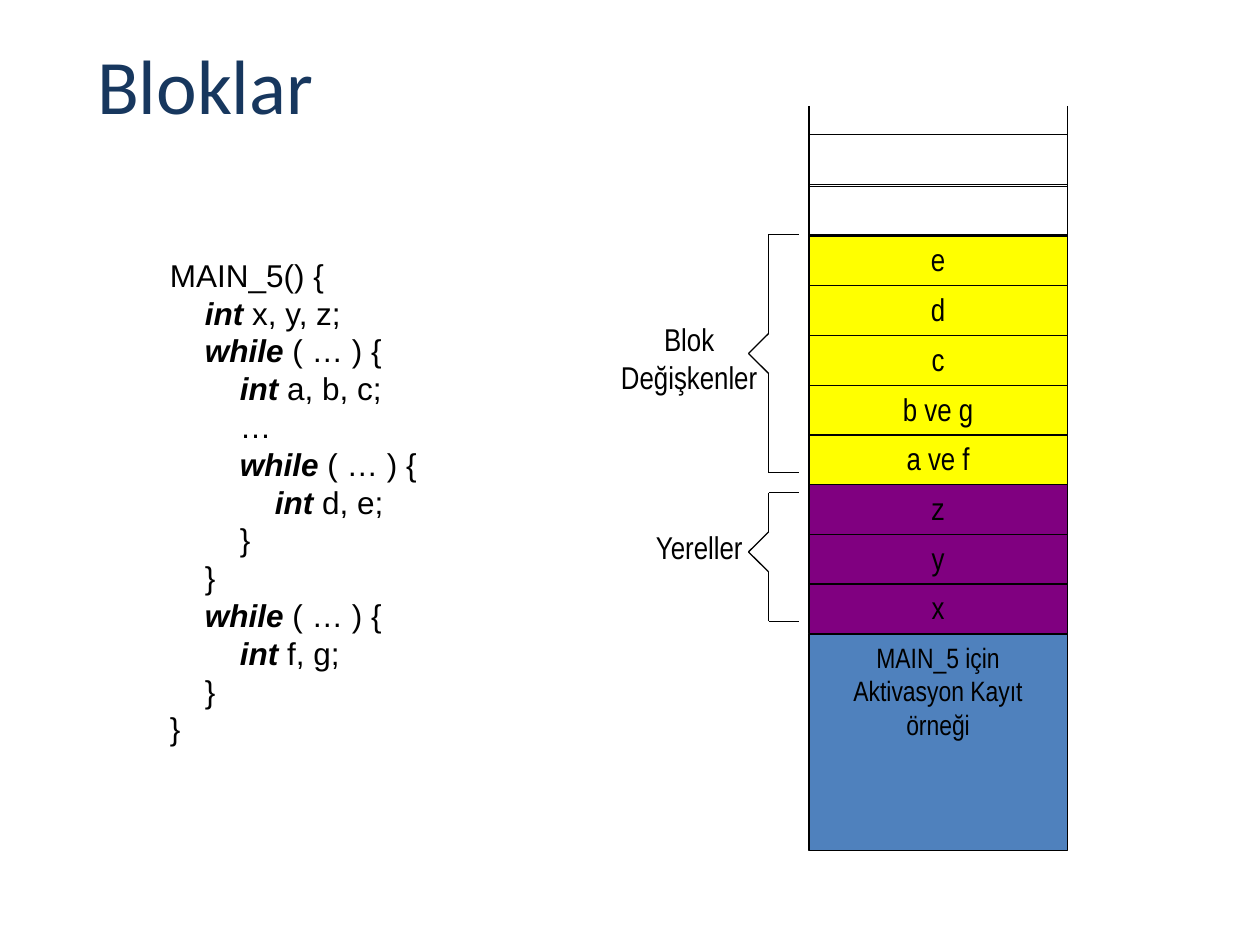
from lxml.etree import SubElement
from pptx import Presentation
from pptx.dml.color import RGBColor
from pptx.enum.shapes import MSO_CONNECTOR, MSO_SHAPE
from pptx.enum.text import MSO_ANCHOR, PP_ALIGN
from pptx.oxml.ns import qn
from pptx.util import Pt

BLACK, NAVY = "000000", "17375E"
YELLOW, PURPLE, BLUE = "FFFF00", "800080", "4F81BD"
KEYWORDS = ("int", "while")

CODE = """MAIN_5() {
    int x, y, z;
    while ( … ) {
        int a, b, c;
        …
        while ( … ) {
            int d, e;
        }
    }
    while ( … ) {
        int f, g;
    }
}"""

STACK_LEFT, STACK_TOP, STACK_WIDTH = 462.24, 77.04, 147.6
CELL_HEIGHT, CELL_STEP = 29.5, 28.4
CELLS = [("", None), ("", None)]
CELLS += [(name, YELLOW) for name in ("e", "d", "c", "b ve g", "a ve f")]
CELLS += [(name, PURPLE) for name in ("z", "y", "x")]


def color(value):
    return RGBColor.from_string(value)


class BlockSlide:
    label_format = {"name": "Arial Narrow", "size": Pt(18)}
    record_format = {"name": "Arial Narrow", "size": Pt(16)}
    code_format = {"name": "Arial", "size": Pt(18)}
    title_format = {"name": "Calibri", "size": Pt(44)}
    keyword_format = {"bold": True, "italic": True}
    line_width = Pt(0.75)

    def __init__(self, deck):
        self.slide = deck.slides.add_slide(deck.slide_layouts[5])

    def style(self, font, values, ink=BLACK):
        for key, value in values.items():
            setattr(font, key, value)
        font.color.rgb = color(ink)

    def outline(self, line):
        line.color.rgb = color(BLACK)
        line.width = self.line_width

    def fill_text(self, frame, text, values, align=PP_ALIGN.CENTER, ink=BLACK):
        frame.vertical_anchor = MSO_ANCHOR.TOP
        frame.text = text
        for paragraph in frame.paragraphs:
            paragraph.alignment = align
            for run in paragraph.runs:
                self.style(run.font, values, ink)

    def title(self, text, left, top, width, height):
        heading = self.slide.shapes.title
        bounds = {"left": left, "top": top, "width": width, "height": height}
        for key, value in bounds.items():
            setattr(heading, key, Pt(value))
        self.fill_text(heading.text_frame, text, self.title_format, PP_ALIGN.LEFT, NAVY)

    def label(self, text, left, top, width, height):
        caption = self.slide.shapes.add_textbox(Pt(left), Pt(top), Pt(width), Pt(height))
        caption.text_frame.word_wrap = True
        self.fill_text(caption.text_frame, text, self.label_format)

    def code(self, source, left, top, width, height):
        listing = self.slide.shapes.add_textbox(Pt(left), Pt(top), Pt(width), Pt(height))
        frame = listing.text_frame
        frame.word_wrap = False
        for number, text in enumerate(source.splitlines()):
            paragraph = frame.paragraphs[0] if number == 0 else frame.add_paragraph()
            keyword = next((word for word in KEYWORDS if text.strip().startswith(word)), "")
            before, after = text.split(keyword, 1) if keyword else ("", text)
            for part in filter(None, (before, keyword, after)):
                run = paragraph.add_run()
                run.text = part
                extra = self.keyword_format if part == keyword else {}
                self.style(run.font, self.code_format | extra)

    def cell(self, text, fill, top, height, values):
        box = self.slide.shapes.add_shape(
            MSO_SHAPE.RECTANGLE, Pt(STACK_LEFT), Pt(top), Pt(STACK_WIDTH), Pt(height))
        box.shadow.inherit = False
        self.outline(box.line)
        if fill:
            box.fill.solid()
            box.fill.fore_color.rgb = color(fill)
        else:
            box.fill.background()
        if text:
            box.text_frame.word_wrap = True
            self.fill_text(box.text_frame, text, values)

    def line(self, start, end):
        stroke = self.slide.shapes.add_connector(
            MSO_CONNECTOR.STRAIGHT, *(Pt(value) for value in start + end))
        self.outline(stroke.line)
        SubElement(stroke._element.spPr, qn("a:effectLst"))

    def brace(self, top, tip, bottom):
        edge, spine, point, notch = 456.5, 439.2, 427.7, 11.4
        corners = [(edge, top), (spine, top), (spine, tip - notch), (point, tip),
                   (spine, tip + notch), (spine, bottom), (edge, bottom)]
        for start, end in zip(corners, corners[1:]):
            self.line(start, end)


def main():
    deck = Presentation()
    deck.slide_width, deck.slide_height = Pt(720), Pt(540)
    page = BlockSlide(deck)
    page.title("Bloklar", 48.24, 18, 642.24, 77.76)
    page.code(CODE, 90, 142.6, 157, 290.9)

    page.cell("MAIN_5 için Aktivasyon Kayıt örneği", BLUE, 362.2, 123.8, page.record_format)
    for row, (text, fill) in reversed(list(enumerate(CELLS))):
        page.cell(text, fill, STACK_TOP + row * CELL_STEP, CELL_HEIGHT, page.label_format)
    for side in (STACK_LEFT, STACK_LEFT + STACK_WIDTH):
        page.line((side, 60.5), (side, STACK_TOP))

    page.brace(133.9, 202, 270)
    page.brace(281.5, 315.4, 355)
    page.label("Blok\nDeğişkenler", 342.7, 179.3, 102.2, 50.4)
    page.label("Yereller", 348.5, 298.1, 102.2, 28.8)
    deck.save("out.pptx")


if __name__ == "__main__":
    main()
